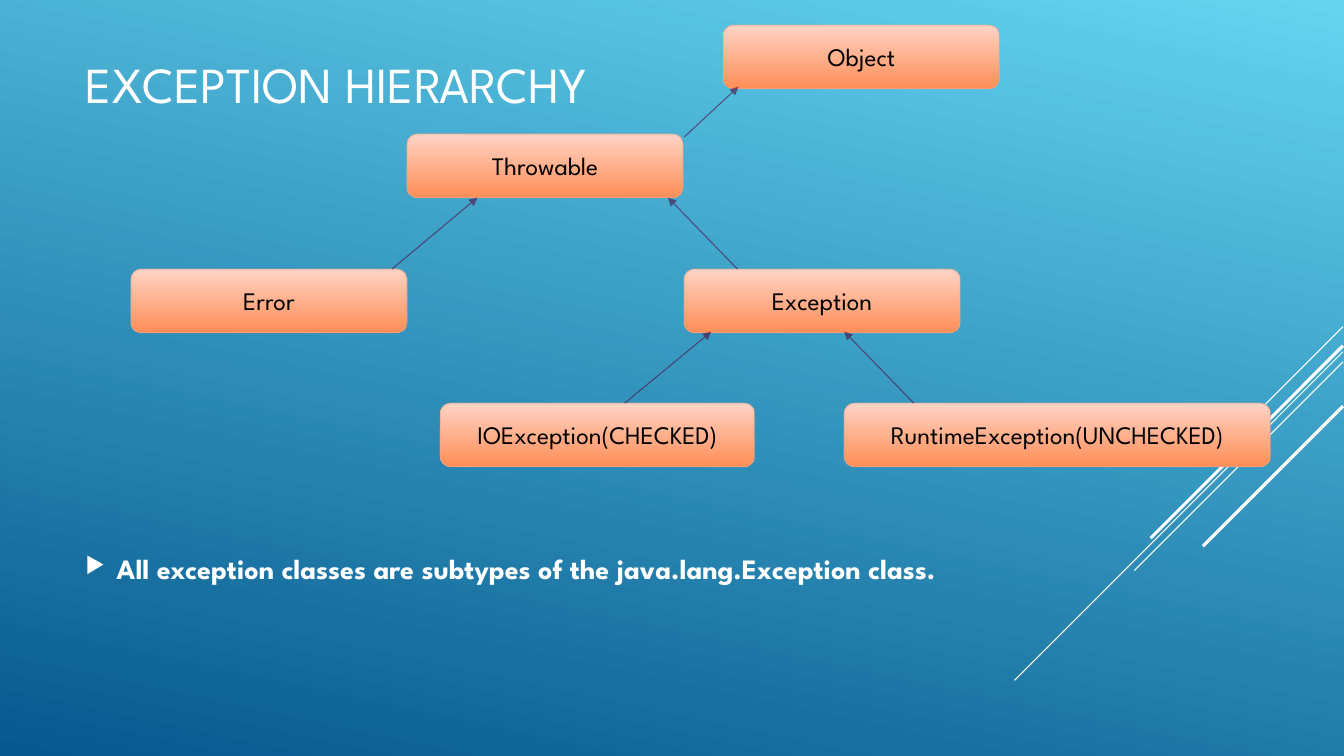
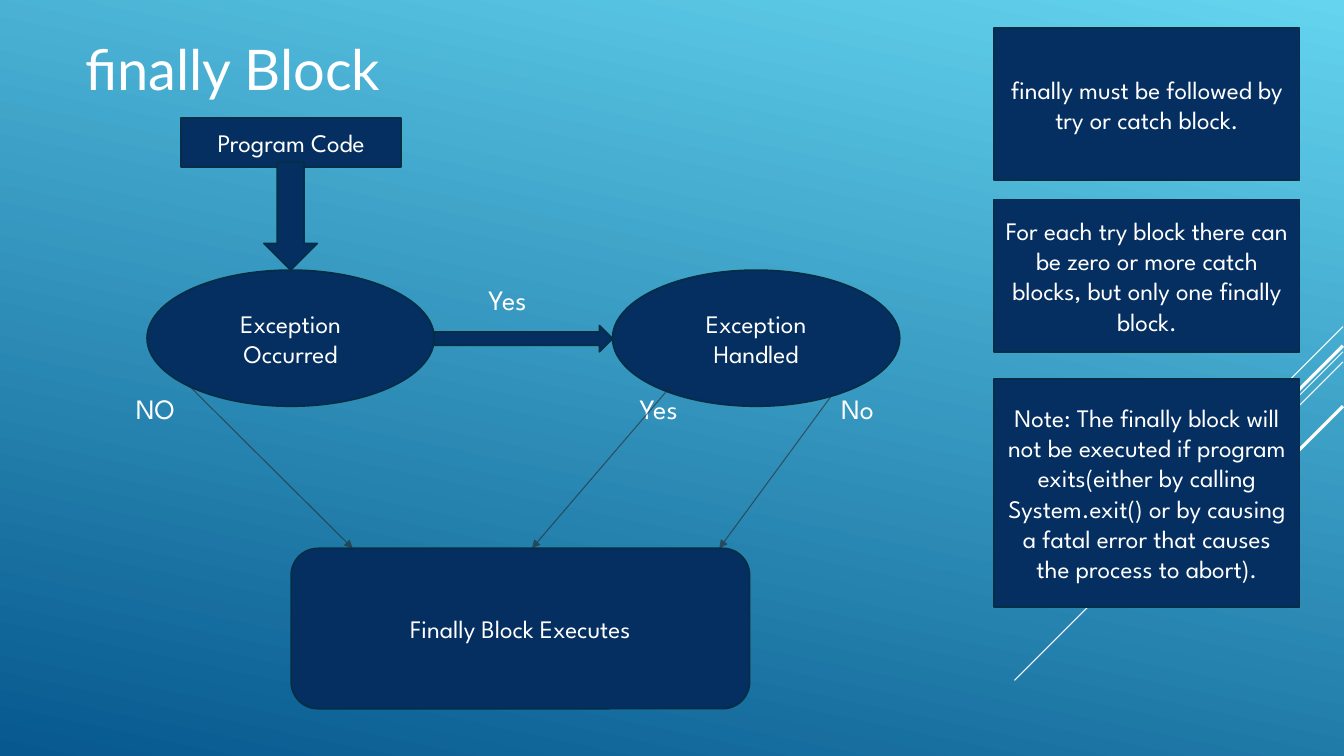
"""Build two slides on Java exceptions: the class hierarchy and the finally block."""
from lxml.etree import SubElement
from pptx import Presentation
from pptx.dml.color import RGBColor
from pptx.enum.shapes import MSO_CONNECTOR, MSO_SHAPE
from pptx.enum.text import MSO_ANCHOR, MSO_AUTO_SIZE, PP_ALIGN
from pptx.oxml.ns import qn
from pptx.util import Inches, Pt

COLORS = {
    "sky": "64D4EF", "deep": "06588E", "white": "FFFFFF", "black": "000000",
    "peach": "FFD3C5", "orange": "FF8E57", "rim": "EEA78E", "plum": "520741",
    "navy": "052F61", "edge": "032E45", "gray": "262626",
}
RGB = {name: RGBColor.from_string(value) for name, value in COLORS.items()}
FONT = "League Spartan"
FRAME = {"word_wrap": True, "auto_size": MSO_AUTO_SIZE.NONE,
         "vertical_anchor": MSO_ANCHOR.MIDDLE}


def write(shape, text, color, align=PP_ALIGN.LEFT, **look):
    frame = shape.text_frame
    for key, value in FRAME.items():
        setattr(frame, key, value)
    frame.text = text
    para = frame.paragraphs[0]
    para.alignment = align
    font = para.runs[0].font
    for key, value in look.items():
        setattr(font, key, value)
    font.color.rgb = RGB[color]
    return para


def stroke(shape, color, width, alpha=100):
    shape.line.color.rgb = RGB[color]
    shape.line.width = Pt(width)
    edge = shape.element.spPr.get_or_add_ln()
    if alpha < 100:
        tint = edge.find(".//" + qn("a:srgbClr"))
        SubElement(tint, qn("a:alpha"), val=str(alpha * 1000))
    return edge


deck = Presentation()
deck.slide_width, deck.slide_height = Inches(13.34), Inches(7.5)
master = deck.slide_master
back = master.background.fill
back.gradient()
back.gradient_angle = 258
for stop, name in zip(back.gradient_stops, ("sky", "deep")):
    stop.color.rgb = RGB[name]

titles = [
    ("EXCEPTION HIERARCHY", (0.75, 0, 9.33, 1.65), 36, FONT),
    ("finally Block", (0.75, 0.28, 9.33, 0.79), 40, "Lato"),
]
slides = []
for text, box, size, face in titles:
    slide = deck.slides.add_slide(deck.slide_layouts[5])
    title = slide.shapes.title
    title.left, title.top, title.width, title.height = map(Inches, box)
    write(title, text, "white", size=Pt(size), name=face)
    slides.append(slide)
tree, flow = slides

point = tree.shapes.add_textbox(*map(Inches, (0.75, 4, 9.33, 3.28)))
para = write(point, "All exception classes are subtypes of the java.lang.Exception class.",
             "white", size=Pt(20), name=FONT, bold=True)
para.space_after = Pt(6)
props = para._p.get_or_add_pPr()
props.set("marL", str(Inches(0.31)))
props.set("indent", str(Inches(-0.31)))
SubElement(SubElement(props, qn("a:buClr")), qn("a:srgbClr"), val=COLORS["white"])
SubElement(props, qn("a:buSzPct"), val="80000")
SubElement(props, qn("a:buChar"), char="▶")

labels = [("Yes", 4.75, 2.77), ("NO", 1.25, 3.85), ("Yes", 6.25, 3.85), ("No", 8.25, 3.85)]
for text, left, top in labels:
    label = flow.shapes.add_textbox(*map(Inches, (left, top, 0.8, 0.4)))
    write(label, text, "white", size=Pt(20), name=FONT)

ROUND, RECT, OVAL = MSO_SHAPE.ROUNDED_RECTANGLE, MSO_SHAPE.RECTANGLE, MSO_SHAPE.OVAL
classes = [
    ("Object", 7.18, 0.25, 2.74),
    ("Throwable", 4.04, 1.33, 2.74),
    ("Error", 1.3, 2.67, 2.74),
    ("Exception", 6.79, 2.67, 2.74),
    ("IOException(CHECKED)", 4.37, 4, 3.12),
    ("RuntimeException(UNCHECKED)", 8.38, 4, 4.23),
]
for text, left, top, width in classes:
    node = tree.shapes.add_shape(ROUND, *map(Inches, (left, top, width, 0.63)))
    node.shadow.inherit = False
    node.fill.gradient()
    node.fill.gradient_angle = 270
    for stop, name in zip(node.fill.gradient_stops, ("peach", "orange")):
        stop.color.rgb = RGB[name]
    stroke(node, "rim", 0.75, 60)
    write(node, text, "black", PP_ALIGN.CENTER, size=Pt(18), name=FONT)

steps = [
    (RECT, (1.8, 1.17, 2.18, 0.49), "Program Code"),
    (MSO_SHAPE.DOWN_ARROW, (2.62, 1.61, 0.53, 1.07), ""),
    (OVAL, (1.46, 2.68, 2.85, 1.35), "Exception Occurred"),
    (MSO_SHAPE.RIGHT_ARROW, (4.31, 3.23, 1.77, 0.26), ""),
    (OVAL, (6.08, 2.68, 2.85, 1.35), "Exception Handled"),
    (ROUND, (2.89, 5.44, 4.55, 1.59), "Finally Block Executes"),
    (RECT, (9.87, 0.28, 3.03, 1.51), "finally must be followed by try or catch block."),
    (RECT, (9.87, 1.98, 3.03, 1.51),
     "For each try block there can be zero or more catch blocks, "
     "but only one finally block."),
    (RECT, (9.87, 3.76, 3.03, 2.26),
     "Note: The finally block will not be executed if program exits(either by calling "
     "System.exit() or by causing a fatal error that causes the process to abort)."),
]
for kind, box, text in steps:
    step = flow.shapes.add_shape(kind, *map(Inches, box))
    step.shadow.inherit = False
    step.fill.solid()
    step.fill.fore_color.rgb = RGB["navy"]
    stroke(step, "edge", 1.25)
    if text:
        write(step, text, "white", PP_ALIGN.CENTER, size=Pt(18), name=FONT)

arrows = [
    (tree, "plum", [(6.79, 1.36, 7.33, 0.86), (7.32, 2.67, 6.63, 1.96),
                    (3.89, 2.67, 4.74, 1.96), (9.07, 4, 8.38, 3.29),
                    (6.2, 4, 7.06, 3.29)]),
    (flow, "gray", [(6.66, 3.83, 5.28, 5.44), (8.25, 3.93, 7.14, 5.44),
                    (1.88, 3.83, 3.5, 5.44)]),
]
for slide, color, ends in arrows:
    for end in ends:
        arrow = slide.shapes.add_connector(MSO_CONNECTOR.STRAIGHT, *map(Inches, end))
        edge = stroke(arrow, color, 0.75, 60)
        SubElement(edge, qn("a:tailEnd"), type="triangle")
        SubElement(arrow.element.spPr, qn("a:effectLst"))

rays = [(3.24, 1, 0.75), (3.49, 3.26, 0.75), (3.59, 2.07, 0.75),
        (3.43, 1.91, 2.25), (4.03, 1.39, 2.25)]
for num, (top, run, width) in enumerate(rays, 20):
    ends = (13.33, top, 13.33 - run, top + run)
    ray = tree.shapes.add_connector(MSO_CONNECTOR.STRAIGHT, *map(Inches, ends))
    stroke(ray, "white", width)
    SubElement(ray.element.spPr, qn("a:effectLst"))
    ray.element.xpath(".//p:cNvPr")[0].set("id", str(num))
    master.shapes.element.append(ray.element)

deck.save("out.pptx")
